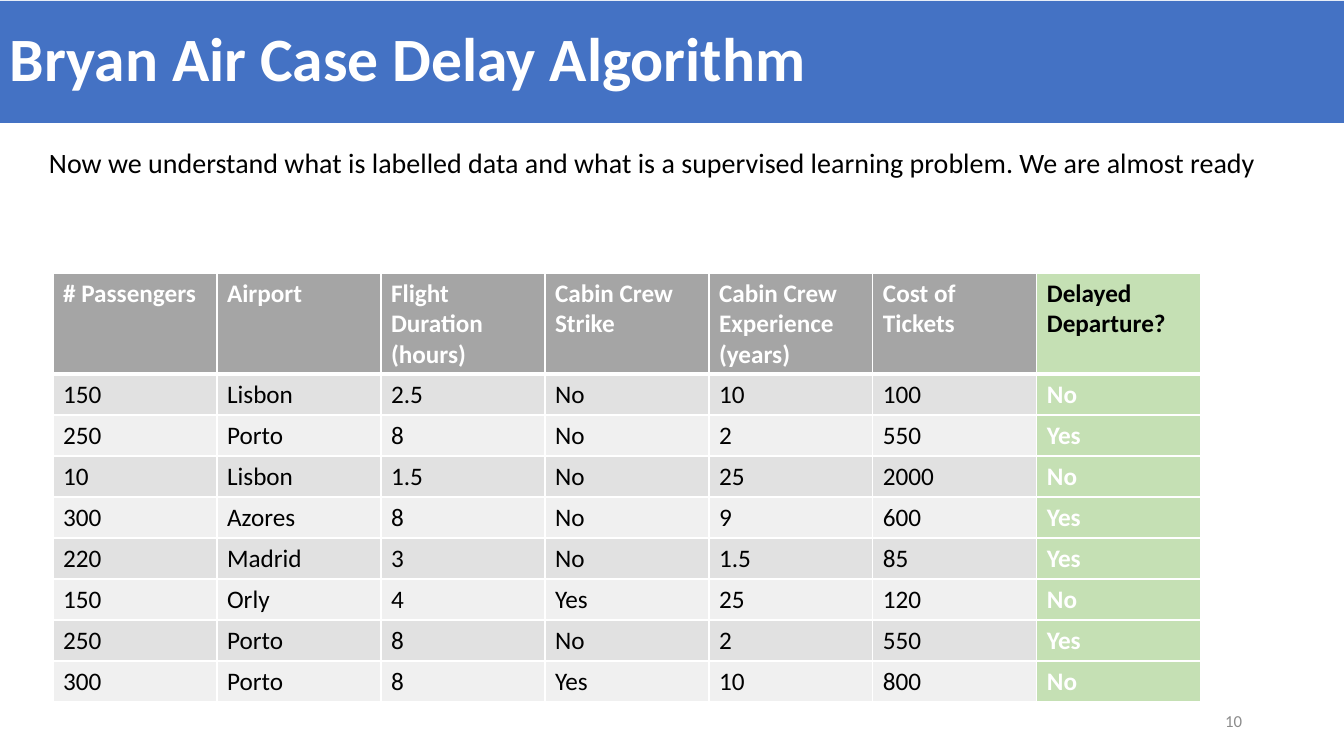
import pptx
import pptx.util
import pptx.dml.color
import pptx.enum.shapes
import pptx.enum.text
import pptx.oxml
import pptx.oxml.ns

TITLE = "Bryan Air Case Delay Algorithm"
INTRO = ("Now we understand what is labelled data and what is a supervised "
         "learning problem. We are almost ready")
PAGE = "10"
HEADER = ("# Passengers", "Airport", "Flight Duration (hours)", "Cabin Crew Strike",
          "Cabin Crew Experience (years)", "Cost of Tickets", "Delayed Departure?")
FLIGHTS = [
    ("150", "Lisbon", "2.5", "No", "10", "100", "No"),
    ("250", "Porto", "8", "No", "2", "550", "Yes"),
    ("10", "Lisbon", "1.5", "No", "25", "2000", "No"),
    ("300", "Azores", "8", "No", "9", "600", "Yes"),
    ("220", "Madrid", "3", "No", "1.5", "85", "Yes"),
    ("150", "Orly", "4", "Yes", "25", "120", "No"),
    ("250", "Porto", "8", "No", "2", "550", "Yes"),
    ("300", "Porto", "8", "Yes", "10", "800", "No"),
]
FONT = "Calibri"
WHITE, BLACK, GREY, BLUE = "FFFFFF", "000000", "8C8C8C", "4472C4"
HEAD_FILL, LABEL_FILL, BANDS = "A5A5A5", "C5E0B4", ("E1E1E1", "F0F0F0")
COL_W, HEAD_H, ROW_H = 164, 101, 41

ALIGN = pptx.enum.text.PP_ALIGN
MIDDLE = pptx.enum.text.MSO_ANCHOR.MIDDLE


def px(n):
    return pptx.util.Emu(round(n * 914400 / 100.8))


def rgb(code):
    return pptx.dml.color.RGBColor.from_string(code)


def paint(target, color):
    target.fill.solid()
    target.fill.fore_color.rgb = rgb(color)


def write(tf, text, size, color, bold=False, align=ALIGN.LEFT):
    tf.word_wrap = True
    p = tf.paragraphs[0]
    p.text = text
    p.alignment = align
    p.font.name, p.font.size, p.font.bold = FONT, pptx.util.Pt(size), bold
    p.font.color.rgb = rgb(color)
    return p


def add_borders(cell, top, bottom):
    """White cell edges; top and bottom widths in points."""
    tc_pr = cell._tc.get_or_add_tcPr()
    for side, width in (("L", 1), ("R", 1), ("T", top), ("B", bottom)):
        tc_pr.append(pptx.oxml.parse_xml(
            f'<a:ln{side} {pptx.oxml.ns.nsdecls("a")} w="{pptx.util.Pt(width)}">'
            f'<a:solidFill><a:srgbClr val="{WHITE}"/></a:solidFill></a:ln{side}>'))


def add_flight_table(s):
    rows = [HEADER] + FLIGHTS
    table = s.shapes.add_table(
        len(rows), len(HEADER), px(53), px(273), px(COL_W * len(HEADER)),
        px(HEAD_H + ROW_H * len(FLIGHTS))).table
    table.horz_banding = False
    for col in table.columns:
        col.width = px(COL_W)
    for i, values in enumerate(rows):
        table.rows[i].height = px(ROW_H if i else HEAD_H)
        for j, value in enumerate(values):
            cell = table.cell(i, j)
            is_head, is_label = i == 0, j == len(HEADER) - 1
            add_borders(cell, 3 if i == 1 else 1, 3 if is_head else 1)
            if is_label:
                paint(cell, LABEL_FILL)
            else:
                paint(cell, HEAD_FILL if is_head else BANDS[(i - 1) % 2])
            write(cell.text_frame, value, 18, WHITE if is_head != is_label else BLACK,
                  bold=is_head or is_label)


def main():
    prs = pptx.Presentation()
    prs.slide_width, prs.slide_height = px(1344), px(756)
    s = prs.slides.add_slide(prs.slide_layouts[6])

    banner = s.shapes.add_shape(pptx.enum.shapes.MSO_SHAPE.RECTANGLE,
                                px(0), px(1), px(1344), px(122))
    banner.shadow.inherit = False
    paint(banner, BLUE)
    banner.line.fill.background()
    banner.text_frame.vertical_anchor = MIDDLE
    write(banner.text_frame, TITLE, 44, WHITE, bold=True).line_spacing = 0.9

    number = s.shapes.add_textbox(px(950), px(701), px(302), px(40))
    number.text_frame.vertical_anchor = MIDDLE
    write(number.text_frame, PAGE, 12, GREY, align=ALIGN.RIGHT)

    intro = s.shapes.add_textbox(px(39), px(141), px(1249), px(44))
    write(intro.text_frame, INTRO, 20, BLACK)

    add_flight_table(s)
    prs.save("out.pptx")


if __name__ == "__main__":
    main()
